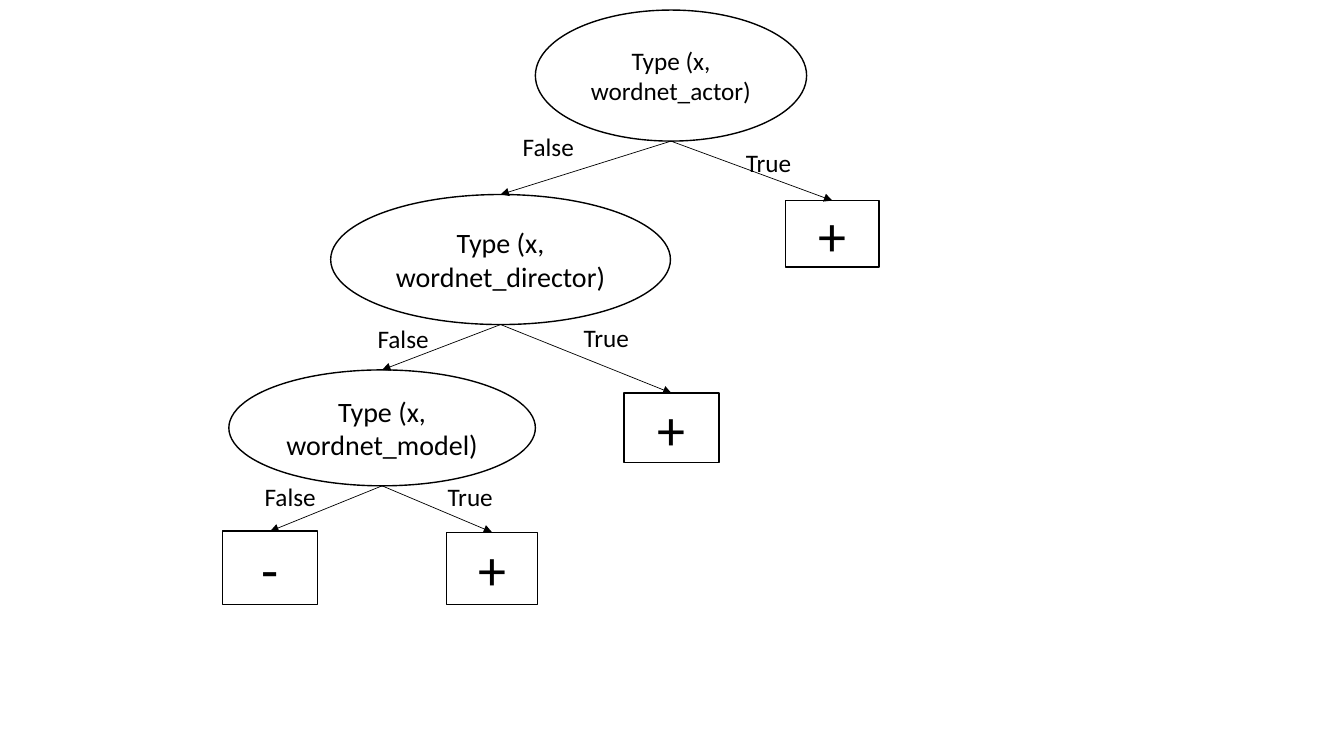
"""Build a slide with a decision tree over wordnet types."""
from lxml import etree
from pptx import Presentation
from pptx.dml.color import RGBColor
from pptx.enum.shapes import MSO_CONNECTOR, MSO_SHAPE
from pptx.enum.text import MSO_ANCHOR, PP_ALIGN
from pptx.oxml.ns import qn
from pptx.util import Inches, Pt

BLACK = RGBColor(0, 0, 0)
WHITE = RGBColor(255, 255, 255)
OVAL, BOX = MSO_SHAPE.OVAL, MSO_SHAPE.RECTANGLE
STRAIGHT = MSO_CONNECTOR.STRAIGHT
MIDDLE = MSO_ANCHOR.MIDDLE
LEFT, CENTER, RIGHT = PP_ALIGN.LEFT, PP_ALIGN.CENTER, PP_ALIGN.RIGHT
TOP_SITE = 0

TESTS_AND_LEAVES = {
    "actor": (OVAL, "Type (x, wordnet_actor)", 18, 5.31, 0.1, 2.69, 1.3),
    "actor_true": (BOX, "+", 40, 7.79, 1.99, 0.93, 0.66),
    "director": (OVAL, "Type (x, wordnet_director)", 20, 3.28, 1.93, 3.37, 1.29),
    "director_true": (BOX, "+", 40, 6.19, 3.9, 0.94, 0.69),
    "model": (OVAL, "Type (x, wordnet_model)", 20, 2.27, 3.67, 3.04, 1.15),
    "model_true": (BOX, "+", 40, 4.43, 5.28, 0.9, 0.72),
    "model_false": (BOX, "-", 40, 2.21, 5.27, 0.94, 0.73),
}
BRANCHES = [
    ("actor", "director", "False", 4.51, 1.25),
    ("actor", "actor_true", "True", 7.3, 1.41),
    ("director", "model", "False", 3.07, 3.16),
    ("director", "director_true", "True", 5.69, 3.15),
    ("model", "model_false", "False", 1.95, 4.73),
    ("model", "model_true", "True", 4.34, 4.73),
]
LABEL_STYLE = {"False": (1.28, RIGHT), "True": (0.99, LEFT)}


def write(frame, text, size, align):
    frame.word_wrap = True
    paragraph = frame.paragraphs[0]
    paragraph.text = text
    paragraph.alignment = align
    paragraph.font.name = "Calibri"
    paragraph.font.size = Pt(size)
    paragraph.font.color.rgb = BLACK


prs = Presentation()
prs.slide_width, prs.slide_height = Inches(13.33), Inches(7.5)
slide = prs.slides.add_slide(prs.slide_layouts[6])

nodes = {}
for key, (outline, text, size, *bounds) in TESTS_AND_LEAVES.items():
    node = slide.shapes.add_shape(outline, *map(Inches, bounds))
    node.shadow.inherit = False
    node.fill.solid()
    node.fill.fore_color.rgb = WHITE
    node.line.color.rgb = BLACK
    node.line.width = Pt(1)
    node.text_frame.vertical_anchor = MIDDLE
    write(node.text_frame, text, size, CENTER)
    nodes[key] = node

for parent_key, child_key, answer, left, top in BRANCHES:
    parent, child = nodes[parent_key], nodes[child_key]
    branch = slide.shapes.add_connector(
        STRAIGHT,
        parent.left + parent.width // 2, parent.top + parent.height,
        child.left + child.width // 2, child.top,
    )
    branch.end_connect(child, TOP_SITE)
    branch.line.color.rgb = BLACK
    branch.line.width = Pt(0.5)
    etree.SubElement(branch.line._get_or_add_ln(), qn("a:tailEnd"), type="triangle")
    etree.SubElement(branch._element.spPr, qn("a:effectLst"))

    width, align = LABEL_STYLE[answer]
    label = slide.shapes.add_textbox(*map(Inches, (left, top, width, 0.4)))
    write(label.text_frame, answer, 18, align)

prs.save("out.pptx")
